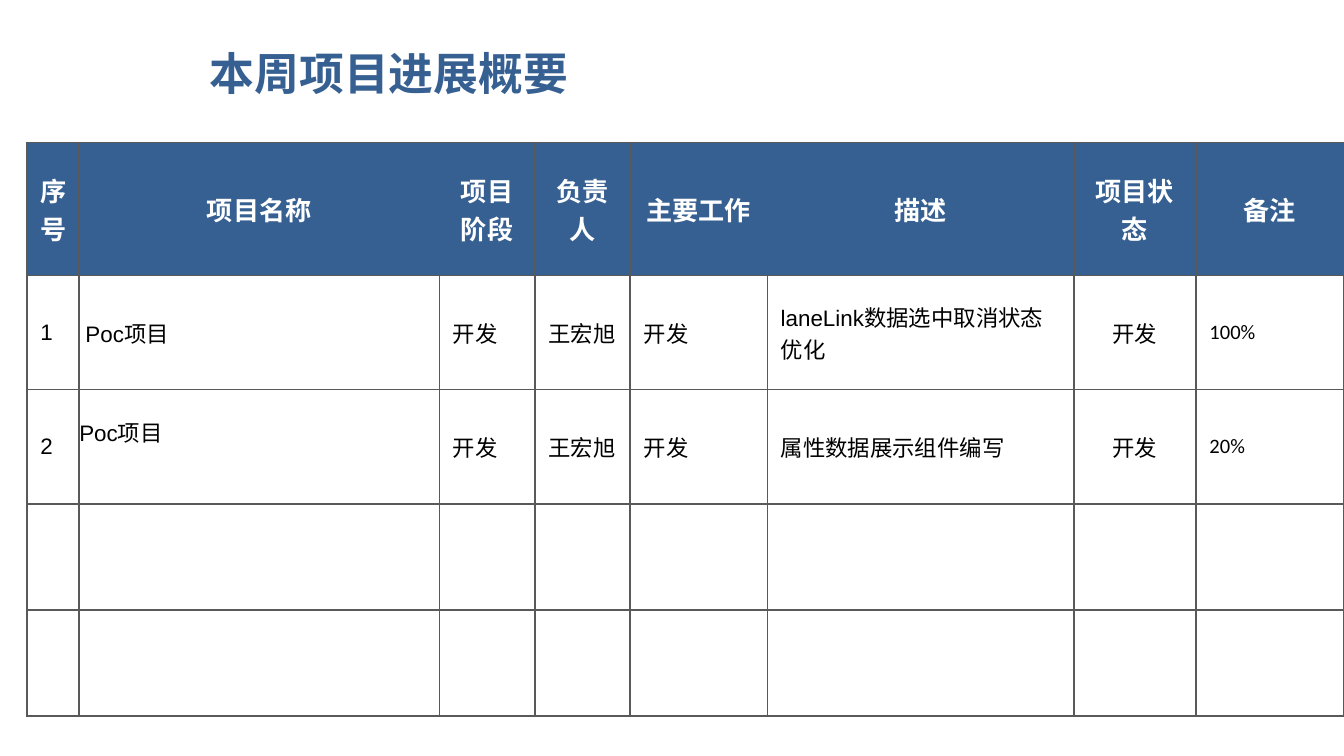
from dataclasses import dataclass
from lxml.etree import SubElement
from pptx import Presentation
from pptx.dml.color import RGBColor
from pptx.enum.text import MSO_ANCHOR, MSO_AUTO_SIZE, PP_ALIGN
from pptx.oxml.ns import qn
from pptx.util import Inches, Pt


@dataclass(frozen=True)
class Theme:
    blue: str = "376092"
    white: str = "FFFFFF"
    black: str = "000000"
    rule: str = "595959"
    sans: str = "Arial"
    note: str = "Calibri"
    cjk: str = "Noto Sans CJK SC"
    title: float = 24
    head: float = 14
    body: float = 12
    small: float = 11


@dataclass(frozen=True)
class Style:
    size: float
    face: str
    color: str
    fill: str
    bold: bool = False
    align: PP_ALIGN = PP_ALIGN.LEFT
    inset: tuple[float, float, float, float] = (0.1, 0.05, 0.1, 0.05)


@dataclass(frozen=True)
class Column:
    head: str
    width: float
    style: Style


@dataclass(frozen=True)
class Task:
    name: str
    work: str
    done: str
    inset: tuple[float, float, float, float]


THEME = Theme()
HEAD = Style(THEME.head, THEME.sans, THEME.white, THEME.blue, True,
             PP_ALIGN.CENTER, (0.07, 0.03, 0.07, 0.03))
BODY = Style(THEME.body, THEME.sans, THEME.black, THEME.white)
MID = Style(THEME.body, THEME.sans, THEME.black, THEME.white, align=PP_ALIGN.CENTER)
NOTE = Style(THEME.small, THEME.note, THEME.black, THEME.white)

COLUMNS = [
    Column("序号", 0.39, BODY),
    Column("项目名称", 2.68, BODY),
    Column("项目阶段", 0.71, BODY),
    Column("负责人", 0.71, BODY),
    Column("主要工作", 1.02, BODY),
    Column("描述", 2.28, BODY),
    Column("项目状态", 0.91, MID),
    Column("备注", 1.1, NOTE),
]
TASKS = [
    Task(" Poc项目", "laneLink数据选中取消状态优化", "100%", (0, 0, 0, 0)),
    Task("Poc项目", "属性数据展示组件编写", "20%", (0, 0, 0, 0.23)),
]
ROWS = [0.99, 0.85, 0.85, 0.79, 0.79]
STAGE, OWNER = "开发", "王宏旭"


def write(para, text: str, style: Style) -> None:
    para.text = text
    para.alignment = style.align
    font = para.font
    font.size, font.name, font.bold = Pt(style.size), style.face, style.bold
    font.color.rgb = RGBColor.from_string(style.color)


def edge(cell) -> None:
    props = cell._tc.get_or_add_tcPr()
    for side in ("lnL", "lnR", "lnT", "lnB"):
        line = SubElement(props, qn(f"a:{side}"), w=str(Pt(1)))
        fill = SubElement(line, qn("a:solidFill"))
        SubElement(fill, qn("a:srgbClr"), val=THEME.rule)


def paint(cell, text: str, style: Style, inset=None) -> None:
    edge(cell)
    cell.fill.solid()
    cell.fill.fore_color.rgb = RGBColor.from_string(style.fill)
    cell.vertical_anchor = MSO_ANCHOR.MIDDLE
    left, top, right, low = (Inches(gap) for gap in inset or style.inset)
    cell.margin_left, cell.margin_top = left, top
    cell.margin_right, cell.margin_bottom = right, low
    write(cell.text_frame.paragraphs[0], text, style)


def add_title(slide, text: str) -> None:
    title = slide.shapes.title
    title.left, title.top = Inches(1.46), Inches(0.23)
    title.width, title.height = Inches(8.03), Inches(0.62)
    frame = title.text_frame
    frame.auto_size = MSO_AUTO_SIZE.NONE
    frame.vertical_anchor = MSO_ANCHOR.MIDDLE
    style = Style(THEME.title, THEME.cjk, THEME.blue, THEME.white, True)
    write(frame.paragraphs[0], text, style)


def add_grid(slide) -> None:
    wide = sum(col.width for col in COLUMNS)
    table = slide.shapes.add_table(
        len(ROWS), len(COLUMNS), Inches(0.2), Inches(1.06),
        Inches(wide), Inches(sum(ROWS))).table
    table.first_row = table.horz_banding = False
    for row, high in zip(table.rows, ROWS):
        row.height = Inches(high)
    for x, col in enumerate(COLUMNS):
        table.columns[x].width = Inches(col.width)
        paint(table.cell(0, x), col.head, HEAD)
    for y in range(1, len(ROWS)):
        task = TASKS[y - 1] if y <= len(TASKS) else None
        texts = [""] * len(COLUMNS)
        if task:
            texts = [str(y), task.name, STAGE, OWNER, STAGE,
                     task.work, STAGE, task.done]
        for x, (col, text) in enumerate(zip(COLUMNS, texts)):
            inset = task.inset if task and x == 1 else None
            paint(table.cell(y, x), text, col.style, inset)


def main() -> None:
    deck = Presentation()
    deck.slide_width = Inches(10)
    deck.slide_height = deck.slide_width * 9 // 16
    slide = deck.slides.add_slide(deck.slide_layouts[5])
    add_title(slide, "本周项目进展概要")
    add_grid(slide)
    deck.save("out.pptx")


main()
